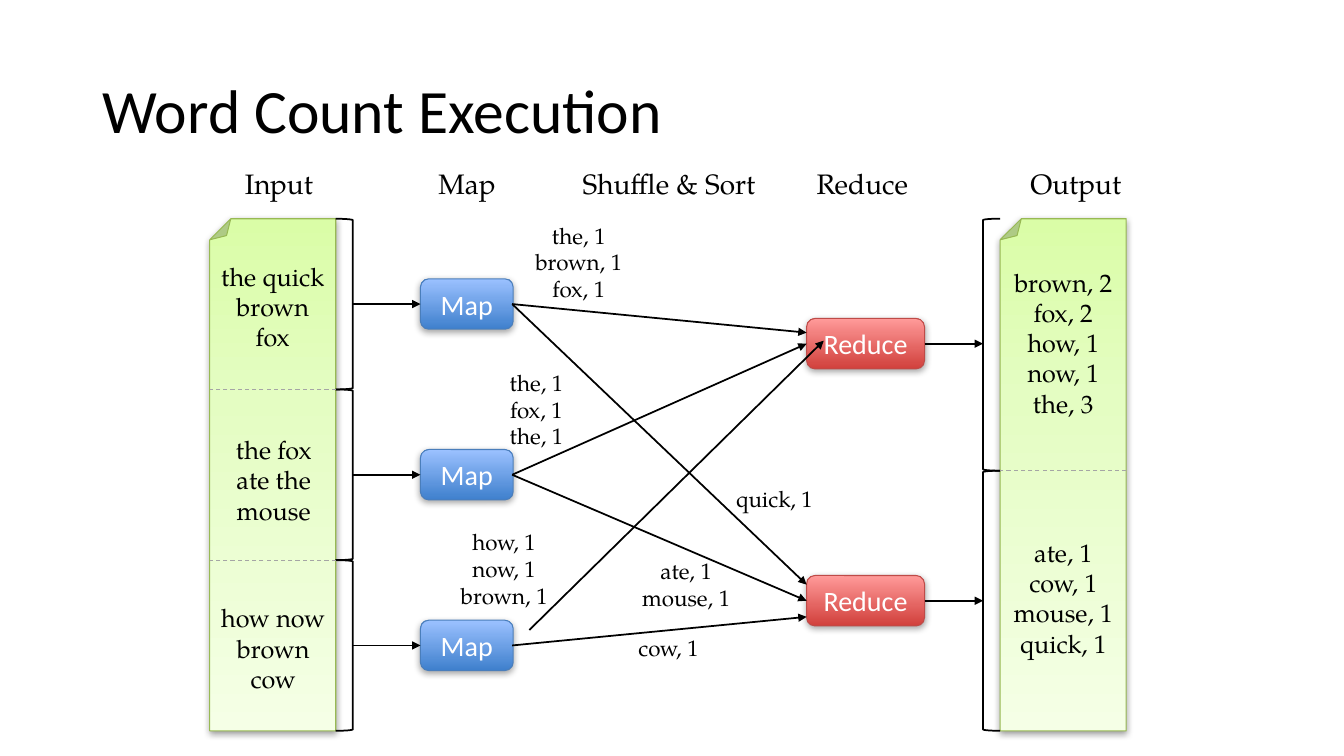
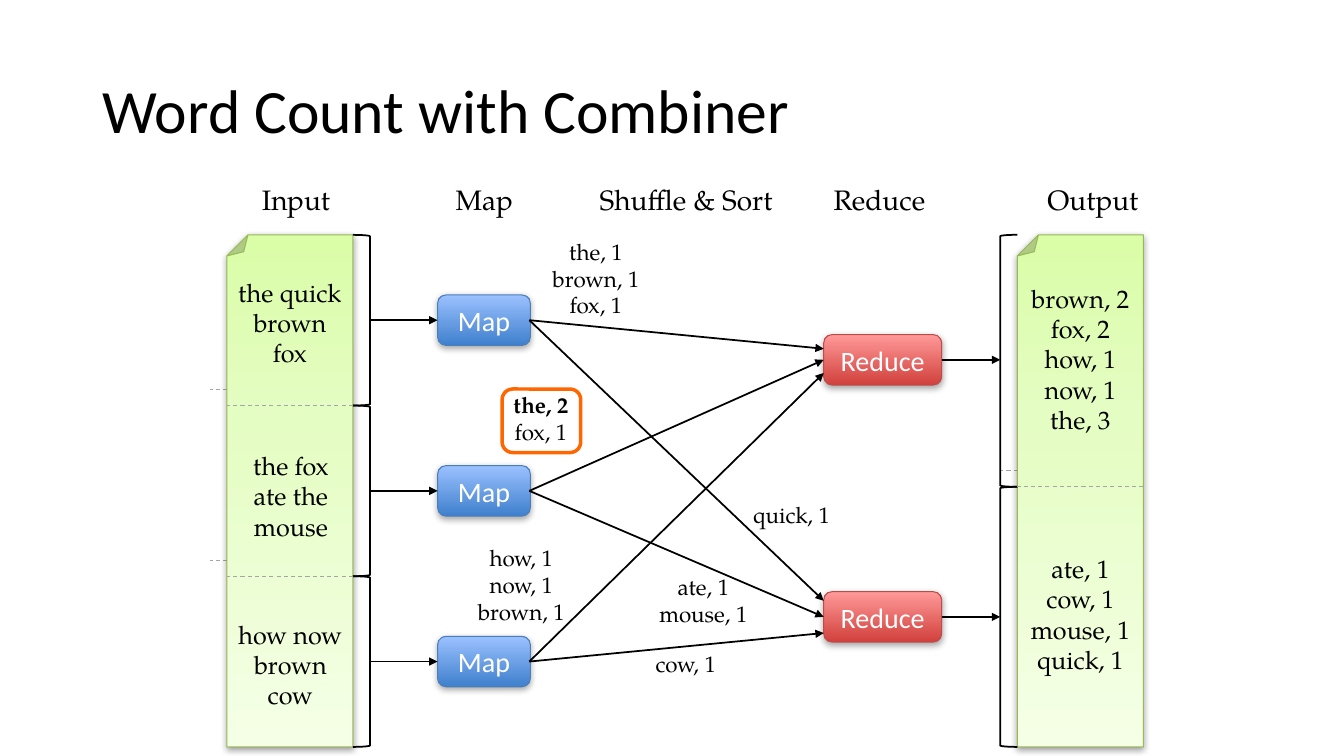
from lxml import etree
from pptx import Presentation
from pptx.dml.color import RGBColor
from pptx.enum.dml import MSO_LINE
from pptx.enum.shapes import MSO_CONNECTOR, MSO_SHAPE
from pptx.enum.text import MSO_ANCHOR, MSO_AUTO_SIZE, PP_ALIGN
from pptx.oxml.ns import qn
from pptx.util import Inches, Pt

PAGE, ROUNDED = MSO_SHAPE.FOLDED_CORNER, MSO_SHAPE.ROUNDED_RECTANGLE
OPENING, CLOSING = MSO_SHAPE.LEFT_BRACKET, MSO_SHAPE.RIGHT_BRACKET
STRAIGHT, DASH = MSO_CONNECTOR.STRAIGHT, MSO_LINE.DASH
LEFT, CENTER = PP_ALIGN.LEFT, PP_ALIGN.CENTER
MIDDLE, FIT, NO_FIT = MSO_ANCHOR.MIDDLE, MSO_AUTO_SIZE.SHAPE_TO_FIT_TEXT, MSO_AUTO_SIZE.NONE

SANS, SERIF = "Calibri", "TeX Gyre Pagella"
COLORS = {"ink": "000000", "white": "FFFFFF", "divider": "A5A5A5", "highlight": "FF6600",
          "page": "98B954", "map": "4A7EBB", "reduce": "BE4B48"}
INK = RGBColor.from_string(COLORS["ink"])
GRADIENTS = {"page": [(0, "DAFDA7"), (35, "E4FDC2"), (100, "F5FFE6")],
             "map": [(0, "3F80CD"), (100, "9BC1FF")],
             "reduce": [(0, "D1403C"), (100, "FF9A99")]}
SHADOWS = {"page": (38, 1.6), "map": (35, 1.8), "reduce": (35, 1.8)}  # opacity %, distance pt

# Diagram grid, before each slide's shift
TOP, PAGE_W, PAGE_H, BRACKET_W = 2.17, 1.25, 5.08, 0.17
INPUT_X, MAP_X, MAP_END, REDUCE_X, REDUCE_END, OUTPUT_X = 2.08, 4.17, 5.08, 8, 9.17, 9.92
INPUT_END, BRACKET_X = INPUT_X + PAGE_W, OUTPUT_X - BRACKET_W
BAND = PAGE_H / 3
SPLIT = 4.67
MAP_MIDS = [TOP + BAND * (i + 0.5) for i in range(3)]
REDUCE_MIDS = [3.41, 5.96]

DIVIDERS = [(INPUT_X, TOP + BAND), (INPUT_X, TOP + 2 * BAND), (OUTPUT_X, SPLIT)]
CARDS = [(PAGE, "page", x, TOP, PAGE_W, PAGE_H, "") for x in (INPUT_X, OUTPUT_X)]
CARDS += [(ROUNDED, "map", MAP_X, mid - 0.25, 0.92, 0.5, "Map") for mid in MAP_MIDS]
CARDS += [(ROUNDED, "reduce", REDUCE_X, mid - 0.25, 1.17, 0.5, "Reduce") for mid in REDUCE_MIDS]
BRACKETS = [(CLOSING, INPUT_END, TOP + BAND * i, BAND) for i in range(3)]
BRACKETS += [(OPENING, BRACKET_X, TOP, 2.5), (OPENING, BRACKET_X, SPLIT, 2.58)]
ARROWS = [(INPUT_END + BRACKET_W, mid, MAP_X, mid) for mid in MAP_MIDS]
ARROWS += [(REDUCE_END, mid, BRACKET_X, mid) for mid in REDUCE_MIDS]
ARROWS += [(MAP_END, MAP_MIDS[i], REDUCE_X, y)
           for i, y in ((0, 3.3), (0, 5.8), (1, 5.96), (1, 3.41), (2, 6.12))]

HEADINGS = [(2.33, 0.89, "Input"), (4.25, 0.78, "Map"), (5.68, 1.94, "Shuffle & Sort"),
            (8, 1.12, "Reduce"), (10.12, 1.11, "Output")]
PAGE_TEXTS = [(2.08, 2.54, 1.25, 1.01, ["the quick", "brown fox"]),
              (2.06, 4.26, 1.31, 1.01, ["the fox ate the mouse"]),
              (2.08, 5.93, 1.26, 1.01, ["how now", "brown cow"]),
              (9.92, 2.6, 1.25, 1.61, ["brown, 2", "fox, 2", "how, 1", "now, 1", "the, 3"]),
              (9.92, 5.28, 1.25, 1.31, ["ate, 1", "cow, 1", "mouse, 1", "quick, 1"])]
PAIRS = [(5.2, 2.15, 1.08, 0.91, ["the, 1", "brown, 1", "fox, 1"]),
         (7.19, 4.76, 0.98, 0.37, ["quick, 1"]),
         (4.46, 5.19, 1.08, 0.91, ["how, 1", "now, 1", "brown, 1"]),
         (6.26, 5.48, 1.09, 0.64, ["ate, 1", "mouse, 1"]),
         (6.22, 6.24, 0.82, 0.37, ["cow, 1"])]

# title, shift, arrow from third Map to first Reduce, output of second Map, combined
SLIDES = [("Word Count Execution", 0, 0, (5.25, 6.25, 8.17, 3.38),
           (4.95, 3.61, 0.74, 0.91, ["the, 1", "fox, 1", "the, 1"]), False),
          ("Word Count with Combiner", 0.17, 0.16, (MAP_END, MAP_MIDS[2], REDUCE_X, 3.54),
           (4.82, 3.67, 0.75, 0.64, ["the, 2", "fox, 1"]), True)]


def add_text(s, x, y, w, h, lines, size, font=SERIF, align=CENTER, wrap=False, fit=FIT):
    """Add a text box with one paragraph per line and return its text frame."""
    tf = s.shapes.add_textbox(Inches(x), Inches(y), Inches(w), Inches(h)).text_frame
    tf.word_wrap = wrap
    tf.auto_size = fit
    tf.text = "\n".join(lines)
    for p in tf.paragraphs:
        p.alignment = align
        p.font.size, p.font.name = Pt(size), font
        p.font.color.rgb = INK
    return tf


def add_line(s, x1, y1, x2, y2, arrow=True):
    """Add a black arrow, or a dashed grey divider."""
    line = s.shapes.add_connector(STRAIGHT, Inches(x1), Inches(y1), Inches(x2), Inches(y2))
    line.line.color.rgb = RGBColor.from_string(COLORS["ink" if arrow else "divider"])
    line.line.width = Pt(1.25 if arrow else 0.75)
    spPr = line._element.spPr
    if arrow:
        etree.SubElement(spPr.find(qn("a:ln")), qn("a:tailEnd"), type="triangle")
    else:
        line.line.dash_style = DASH
    etree.SubElement(spPr, qn("a:effectLst"))


prs = Presentation()
prs.slide_width, prs.slide_height = Inches(13.33), Inches(7.5)

for title, dx, dy, long_arrow, second_pairs, combined in SLIDES:
    s = prs.slides.add_slide(prs.slide_layouts[6])
    tf = add_text(s, 0.92, 0.4, 11.5, 1.45, [title], 44, SANS, LEFT, True, NO_FIT)
    tf.vertical_anchor = MIDDLE
    tf.paragraphs[0].line_spacing = 0.9

    if combined:
        sp = s.shapes.add_shape(ROUNDED, Inches(4.98), Inches(3.86), Inches(0.78), Inches(0.63))
        sp.shadow.inherit = False
        sp.fill.background()
        sp.line.color.rgb = RGBColor.from_string(COLORS["highlight"])
        sp.line.width = Pt(2.5)
        # Unshifted dividers show only beside the pages
        for x, y in DIVIDERS:
            add_line(s, x + PAGE_W, y, x, y, arrow=False)

    for kind, role, x, y, w, h, text in CARDS:
        sp = s.shapes.add_shape(kind, Inches(x + dx), Inches(y + dy), Inches(w), Inches(h))
        sp.rotation = 180 if kind == PAGE else 0
        sp.fill.gradient()
        sp.fill.gradient_angle = 90
        stops = sp._element.spPr.find(qn("a:gradFill")).find(qn("a:gsLst"))
        stops.clear()
        for position, color in GRADIENTS[role]:
            stop = etree.SubElement(stops, qn("a:gs"), pos=str(position * 1000))
            etree.SubElement(stop, qn("a:srgbClr"), val=color)
        sp.line.color.rgb = RGBColor.from_string(COLORS[role])
        sp.line.width = Pt(0.75)
        sp.shadow.inherit = False
        opacity, distance = SHADOWS[role]
        shadow = etree.SubElement(sp._element.spPr.find(qn("a:effectLst")), qn("a:outerShdw"),
                                  blurRad=str(Pt(5)), dist=str(Pt(distance)),
                                  dir="5400000", rotWithShape="0")
        tint = etree.SubElement(shadow, qn("a:srgbClr"), val=COLORS["ink"])
        etree.SubElement(tint, qn("a:alpha"), val=str(opacity * 1000))
        if text:
            tf = sp.text_frame
            tf.text = text
            tf.vertical_anchor = MIDDLE
            p = tf.paragraphs[0]
            p.alignment = CENTER
            p.font.size, p.font.name = Pt(20), SANS
            p.font.color.rgb = RGBColor.from_string(COLORS["white"])

    for kind, x, y, h in BRACKETS:
        sp = s.shapes.add_shape(kind, Inches(x + dx), Inches(y + dy), Inches(BRACKET_W), Inches(h))
        sp.shadow.inherit = False
        sp.fill.background()
        sp.line.color.rgb = INK
        sp.line.width = Pt(1.25)

    for x1, y1, x2, y2 in ARROWS + [long_arrow]:
        add_line(s, x1 + dx, y1 + dy, x2 + dx, y2 + dy)
    for x, y in DIVIDERS:
        add_line(s, x + PAGE_W + dx, y + dy, x + dx, y + dy, arrow=False)

    for x, w, heading in HEADINGS:
        add_text(s, x + dx, 1.6 + dy, w, 0.44, [heading], 20, align=LEFT)
    for x, y, w, h, lines in PAGE_TEXTS:
        add_text(s, x + dx, y + dy, w, h, lines, 18, wrap=True)
    for x, y, w, h, lines in PAIRS + [second_pairs]:
        tf = add_text(s, x + dx, y + dy, w, h, lines, 16)
    tf.paragraphs[0].font.bold = combined

prs.save("out.pptx")
